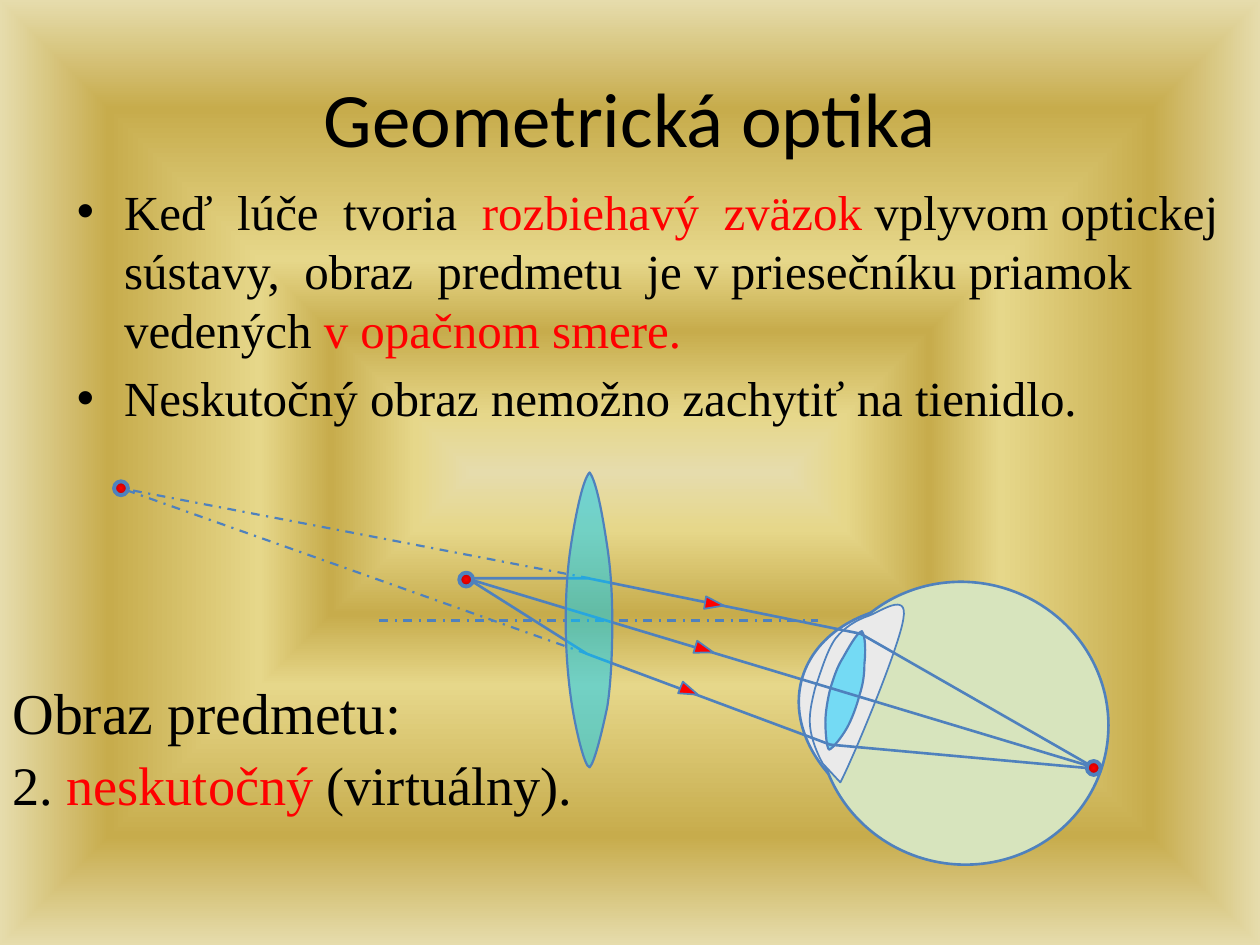
from itertools import chain
from math import cos, radians, sin
from typing import NamedTuple, Optional

from lxml.etree import SubElement
from pptx import Presentation
from pptx.dml.color import RGBColor
from pptx.enum.dml import MSO_LINE
from pptx.enum.shapes import MSO_CONNECTOR, MSO_SHAPE
from pptx.enum.text import MSO_ANCHOR, MSO_AUTO_SIZE, PP_ALIGN
from pptx.oxml.ns import qn
from pptx.util import Inches, Pt

CELL = Inches(0.1)  # the slide is a grid of 100 columns and 75 rows
BLUE, RED, BLACK, GLASS = "4F81BD", "FF0000", "000000", "00CCFF"
SERIF = "Times New Roman"
EYE_TILT = 15.4
BACKGROUND_STOPS = [(0, "E6DCAC"), (12, "E6D78A"), (30, "C7AC4C"),
                    (45, "E6D78A"), (77, "C7AC4C"), (100, "E6DCAC")]
POINT_STOPS = [(0, RED), (100, "B60000")]

Point = tuple[float, float]


class Ellipse(NamedTuple):
    left: float
    top: float
    width: float
    height: float
    fill: str


class Outline(NamedTuple):
    """Closed outline: segments of three points are curves, of one point lines."""
    start: Point
    segments: list[list[Point]]
    fill: str
    line_width: float
    alpha: Optional[int] = None
    center: Point = (0, 0)
    rotation: float = 0


class Arrow(NamedTuple):
    center: Point
    slope: float  # degrees below the horizontal


class Run(NamedTuple):
    text: str
    size: float
    color: str = BLACK
    font: str = SERIF


IMAGE_POINT, OBJECT_POINT, RETINA_POINT = (9.6, 38.75), (37, 46), (86.8, 60.95)
AXIS = ((30.1, 49.25), (64.9, 49.25))
EXTENSIONS = [((46.8, 45.9), IMAGE_POINT), ((46.6, 51.9), IMAGE_POINT)]
RAYS = [
    [(37, 45.9), (46.7, 45.9), (68.3, 50.3), (86.8, 60.9)],
    [(37, 45.9), (86.8, 60.9)],
    [(86.8, 61), (65.9, 59.1), (46.6, 51.9), (37.1, 45.9)],
]
ARROWS = [Arrow((55.9, 51.55), 17.2), Arrow((56.7, 47.95), 9.2), Arrow((54.7, 54.85), 22.5)]
EYEBALL = [Ellipse(63.2, 48.2, 24.3, 17.9, "EAEAEA"),
           Ellipse(64.9, 46.2, 23.1, 22.4, "D7E4BD")]
CORNEA = Outline((71.7, 49.1), [
    [(72.1, 46.9), (69.8, 48.6), (68.9, 48.9)],
    [(68, 49.2), (67, 49.8), (66.3, 50.7)],
    [(65.6, 51.7), (65.1, 53.5), (64.7, 54.6)],
    [(64.4, 55.8), (64.2, 56.7), (64.3, 57.7)],
    [(64.4, 58.7), (64.9, 59.9), (65.3, 60.6)],
    [(66.7, 62.1)],
    [(67.7, 60.2), (71.4, 51.3), (71.7, 49.1)],
], "EAEAEA", 1, center=(67.75, 54.05), rotation=EYE_TILT)
EYE_LENS = Outline((68.4, 50.1), [
    [(68, 50.2), (67.3, 51.5), (66.9, 52.2)],
    [(66.4, 53), (66.2, 53.7), (65.9, 54.6)],
    [(65.7, 55.4), (65.5, 56.5), (65.5, 57.3)],
    [(65.5, 58.1), (65.6, 59.4), (65.8, 59.5)],
    [(66.1, 59.4), (66.8, 58.5), (67.2, 57.8)],
    [(67.6, 57.1), (68, 56), (68.2, 55.2)],
    [(68.5, 54.3), (68.6, 53.5), (68.6, 52.7)],
    [(68.7, 51.8), (68.7, 50.5), (68.4, 50.1)],
], GLASS, 1.25, 50, center=(67.1, 54.75), rotation=EYE_TILT)
GLASS_LENS = Outline((46.8, 37.5), [
    [(46.2, 38.1), (45.6, 41.4), (45.3, 43.4)],
    [(45, 45.4), (44.9, 47.4), (44.9, 49.5)],
    [(44.9, 51.6), (45.1, 54.1), (45.4, 56)],
    [(45.7, 57.9), (46.4, 60.9), (46.8, 60.9)],
    [(47.2, 60.5), (47.8, 58), (48.2, 56.1)],
    [(48.5, 54.2), (48.6, 51.6), (48.6, 49.5)],
    [(48.6, 47.3), (48.5, 45.4), (48.2, 43.4)],
    [(47.9, 41.4), (47.4, 38.3), (46.8, 37.5)],
], GLASS, 1.25, 50)

BODY = [
    [Run("Keď  lúče  tvoria  ", 28), Run("rozbiehavý  zväzok ", 28, RED),
     Run("vplyvom optickej sústavy,  obraz  predmetu  je v priesečníku priamok vedených ", 28),
     Run("v opačnom smere.", 28, RED)],
    [Run("Neskutočný obraz nemožno zachytiť na tienidlo.", 28)],
]
CAPTION = [
    [Run("Obraz predmetu:", 33)],
    [Run("2. ", 31), Run("neskutočný ", 31, RED), Run("(virtuálny).", 31)],
]


def grid(*cells: float) -> list[int]:
    return [round(cell * CELL) for cell in cells]


def color(hex_string: str) -> RGBColor:
    return RGBColor.from_string(hex_string)


def fill_from_center(fill, owner, stops) -> None:
    """Give the fill inside the owner element a gradient that follows its shape."""
    fill.gradient()
    gradient = next(owner.iter(qn("a:gradFill")))
    for child in list(gradient):
        gradient.remove(child)
    stop_list = SubElement(gradient, qn("a:gsLst"))
    for position, hex_string in stops:
        stop = SubElement(stop_list, qn("a:gs"), pos=str(position * 1000))
        SubElement(stop, qn("a:srgbClr"), val=hex_string)
    outward = SubElement(gradient, qn("a:path"), path="shape")
    SubElement(outward, qn("a:fillToRect"), {side: "50000" for side in "ltrb"})


def style(shape, line_width: float, fill: Optional[str] = None,
          alpha: Optional[int] = None) -> None:
    shape.shadow.inherit = False
    shape.line.color.rgb = color(BLUE)
    shape.line.width = Pt(line_width)
    if fill is None:
        shape.fill.background()
        return
    shape.fill.solid()
    shape.fill.fore_color.rgb = color(fill)
    if alpha is not None:
        fill_color = next(shape._element.spPr.iter(qn("a:srgbClr")))
        SubElement(fill_color, qn("a:alpha"), val=str(alpha * 1000))


def draw_ellipse(shapes, ellipse: Ellipse) -> None:
    shape = shapes.add_shape(MSO_SHAPE.OVAL, *grid(*ellipse[:4]))
    shape.rotation = EYE_TILT
    style(shape, 1.5, ellipse.fill)


def draw_light_point(shapes, center: Point, size: float = 1.1) -> None:
    left, top = (value - size / 2 for value in center)
    shape = shapes.add_shape(MSO_SHAPE.OVAL, *grid(left, top, size, size))
    style(shape, 2.25)
    fill_from_center(shape.fill, shape._element.spPr, POINT_STOPS)


def draw_dashed_line(shapes, start: Point, end: Point) -> None:
    line = shapes.add_connector(MSO_CONNECTOR.STRAIGHT, *grid(*start, *end))
    line.line.color.rgb = color(BLUE)
    line.line.width = Pt(1.25)
    line.line.dash_style = MSO_LINE.DASH_DOT
    SubElement(line._element.spPr, qn("a:effectLst"))


def draw_arrow(shapes, arrow: Arrow, width: float = 1, length: float = 1.5) -> None:
    x, y = arrow.center
    shape = shapes.add_shape(MSO_SHAPE.ISOSCELES_TRIANGLE,
                             *grid(x - width / 2, y - length / 2, width, length))
    shape.rotation = 90 + arrow.slope
    style(shape, 1, RED)


def draw_polyline(shapes, points: list[Point], close: bool = False):
    builder = shapes.build_freeform(*grid(*points[0]))
    builder.add_line_segments([grid(*point) for point in points[1:]], close=close)
    return builder.convert_to_shape()


def turn_back(point: Point, center: Point, degrees: float) -> Point:
    angle = radians(degrees)
    x, y = point[0] - center[0], point[1] - center[1]
    return (center[0] + x * cos(angle) + y * sin(angle),
            center[1] - x * sin(angle) + y * cos(angle))


def draw_outline(shapes, outline: Outline) -> None:
    points = [turn_back(point, outline.center, outline.rotation)
              for point in chain([outline.start], *outline.segments)]
    shape = draw_polyline(shapes, points, close=True)
    lines = iter(list(shape._element.iter(qn("a:lnTo"))))
    for segment in outline.segments:
        first, *others = [next(lines) for _ in segment]
        if others:
            first.tag = qn("a:cubicBezTo")
        for other in others:
            first.append(other[0])
            other.getparent().remove(other)
    shape.rotation = outline.rotation
    style(shape, outline.line_width, outline.fill, outline.alpha)


def write(text_frame, paragraphs: list[list[Run]]) -> None:
    for index, runs in enumerate(paragraphs):
        paragraph = text_frame.add_paragraph() if index else text_frame.paragraphs[0]
        for item in runs:
            run = paragraph.add_run()
            run.text = item.text
            run.font.name, run.font.size = item.font, Pt(item.size)
            run.font.color.rgb = color(item.color)


def place(shape, *cells: float) -> None:
    shape.left, shape.top, shape.width, shape.height = grid(*cells)


def main() -> None:
    presentation = Presentation()
    presentation.slide_width, presentation.slide_height = grid(100, 75)
    slide = presentation.slides.add_slide(presentation.slide_layouts[1])
    shapes = slide.shapes
    fill_from_center(slide.background.fill, slide._element, BACKGROUND_STOPS)

    title, body = shapes.title, slide.placeholders[1]
    place(title, 5, 3, 90, 12.5)
    title.text_frame.vertical_anchor = MSO_ANCHOR.MIDDLE
    write(title.text_frame, [[Run("Geometrická optika", 44, font="Calibri")]])
    title.text_frame.paragraphs[0].alignment = PP_ALIGN.CENTER
    place(body, 5.1, 13.9, 94.9, 49.5)
    body.text_frame.auto_size = MSO_AUTO_SIZE.NONE
    write(body.text_frame, BODY)

    extensions = shapes.add_group_shape().shapes
    for extension in EXTENSIONS:
        draw_dashed_line(extensions, *extension)
    eye = shapes.add_group_shape().shapes
    for ellipse in EYEBALL:
        draw_ellipse(eye, ellipse)
    draw_outline(eye, CORNEA)
    draw_outline(eye, EYE_LENS)
    draw_light_point(shapes, IMAGE_POINT)
    draw_dashed_line(shapes, *AXIS)
    rays = shapes.add_group_shape().shapes
    for ray in RAYS:
        style(draw_polyline(rays, ray), 1.5)
    for arrow in ARROWS:
        draw_arrow(rays, arrow)
    draw_outline(shapes, GLASS_LENS)
    draw_light_point(shapes, RETINA_POINT)
    draw_light_point(shapes, OBJECT_POINT)

    caption = shapes.add_textbox(*grid(0, 53.2, 47, 12.3)).text_frame
    caption.word_wrap = False
    caption.auto_size = MSO_AUTO_SIZE.SHAPE_TO_FIT_TEXT
    write(caption, CAPTION)
    for paragraph in caption.paragraphs:
        paragraph.space_after = Pt(3.3)
        properties = paragraph._p.get_or_add_pPr()
        properties.set("marL", str(Inches(0.5)))
        properties.set("indent", str(-Inches(0.5)))

    presentation.save("out.pptx")


if __name__ == "__main__":
    main()
